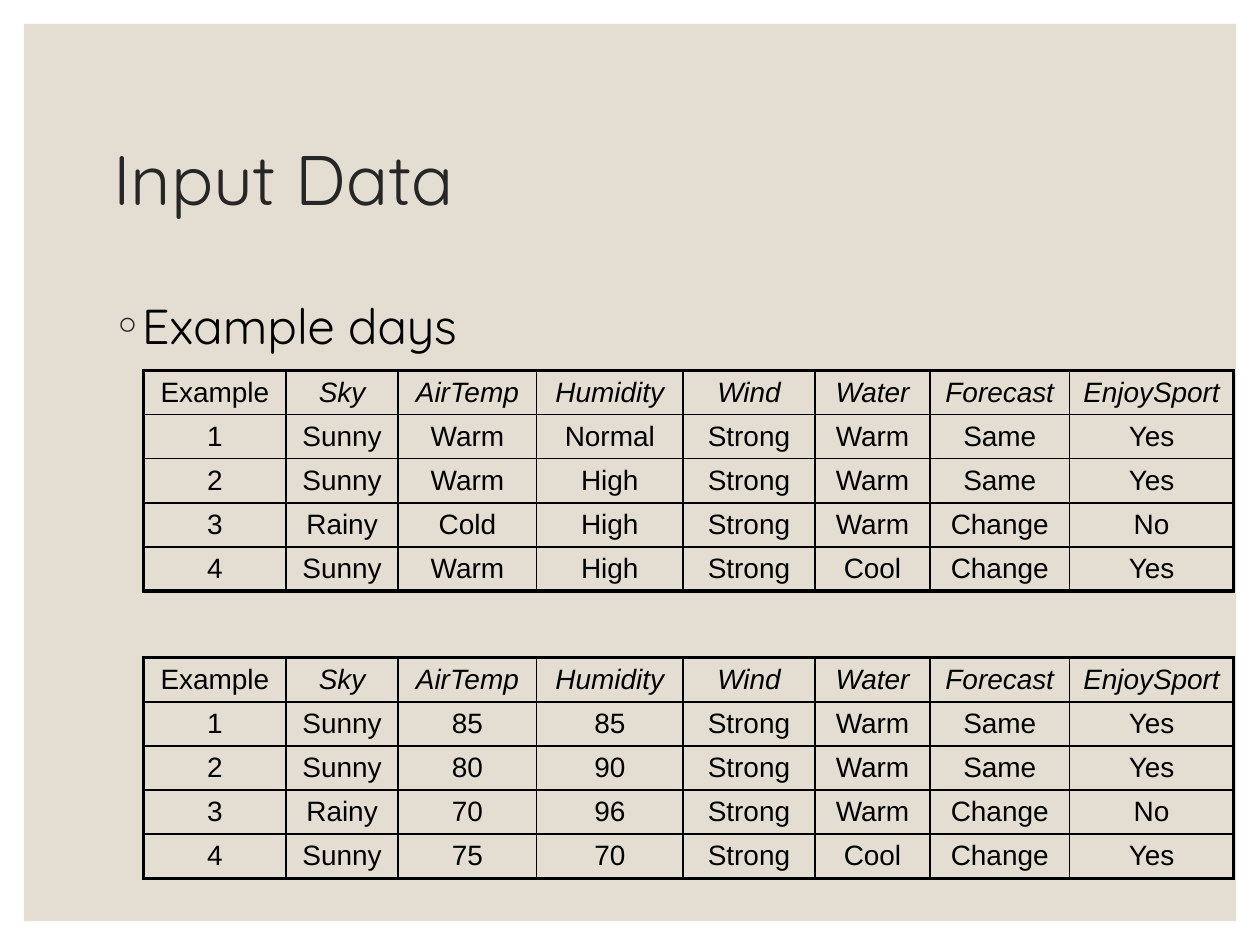
from lxml.etree import SubElement
from pptx import Presentation
from pptx.dml.color import RGBColor as RGB
from pptx.enum.shapes import MSO_SHAPE
from pptx.enum.text import MSO_ANCHOR, PP_ALIGN
from pptx.oxml.ns import qn
from pptx.util import Inches, Pt

TITLE = "Input Data"
BULLET = "Example days"
HEADER = ("Example", "Sky", "AirTemp", "Humidity", "Wind", "Water", "Forecast", "EnjoySport")
DAYS = [
    ("1", "Sunny", "Strong", "Warm", "Same", "Yes"),
    ("2", "Sunny", "Strong", "Warm", "Same", "Yes"),
    ("3", "Rainy", "Strong", "Warm", "Change", "No"),
    ("4", "Sunny", "Strong", "Cool", "Change", "Yes"),
]
READINGS = [
    (2.94, [("Warm", "Normal"), ("Warm", "High"), ("Cold", "High"), ("Warm", "High")]),
    (5.22, [("85", "85"), ("80", "90"), ("70", "96"), ("75", "70")]),
]
COLUMNS = (1.13, 0.89, 1.1, 1.16, 1.05, 0.91, 1.11, 1.3)
TABLE_LEFT, ROW_HEIGHT = 1.14, 0.35
THEME = {
    "panel": "E3DED1", "title": "262626", "ink": "000000",
    "display": "Quicksand", "table": "Arial",
    "title_size": 40, "bullet_size": 28, "cell_size": 16,
    "inner_line": 1, "outer_line": 2.25,
}


def style(p, font, size, color, italic=False):
    for r in p.runs:
        r.font.name, r.font.size, r.font.italic = font, Pt(size), italic
        r.font.color.rgb = RGB.from_string(color)


def add_text(s, text, top, height, size, color, anchor):
    tf = s.shapes.add_textbox(Inches(0.8), Inches(top), Inches(8.4), Inches(height)).text_frame
    tf.word_wrap, tf.vertical_anchor = True, anchor
    tf.text = text
    p = tf.paragraphs[0]
    style(p, THEME["display"], size, color)
    return p


def add_bullet(p):
    pPr = p._p.get_or_add_pPr()
    pPr.set("marL", str(Inches(0.2)))
    pPr.set("indent", str(-Inches(0.2)))
    color = SubElement(pPr, qn("a:buClr"))
    SubElement(color, qn("a:srgbClr"), val=THEME["title"])
    SubElement(pPr, qn("a:buFont"), typeface=THEME["display"])
    SubElement(pPr, qn("a:buChar"), char="◦")


def set_borders(cell, outer_sides):
    tcPr = cell._tc.get_or_add_tcPr()
    for side, is_outer in outer_sides.items():
        width = THEME["outer_line" if is_outer else "inner_line"]
        line = SubElement(tcPr, qn(f"a:ln{side}"), w=str(Pt(width)))
        fill = SubElement(line, qn("a:solidFill"))
        SubElement(fill, qn("a:srgbClr"), val=THEME["ink"])


def add_days_table(s, top, rows):
    last_row, last_col = len(rows) - 1, len(COLUMNS) - 1
    table = s.shapes.add_table(
        len(rows), len(COLUMNS), Inches(TABLE_LEFT), Inches(top),
        Inches(sum(COLUMNS)), Inches(ROW_HEIGHT * len(rows))).table
    table.first_row = table.horz_banding = False
    for column, width in zip(table.columns, COLUMNS):
        column.width = Inches(width)
    for i, values in enumerate(rows):
        table.rows[i].height = Inches(ROW_HEIGHT)
        for j, value in enumerate(values):
            cell = table.cell(i, j)
            cell.text = value
            cell.vertical_anchor = MSO_ANCHOR.MIDDLE
            cell.margin_top = cell.margin_bottom = Inches(0.04)
            cell.margin_left = cell.margin_right = Inches(0.05)
            p = cell.text_frame.paragraphs[0]
            p.alignment = PP_ALIGN.CENTER
            style(p, THEME["table"], THEME["cell_size"], THEME["ink"], i == 0 and j > 0)
            set_borders(cell, {"L": j == 0, "R": j == last_col, "T": i == 0, "B": i == last_row})
            cell.fill.background()


def main():
    prs = Presentation()
    prs.slide_width, prs.slide_height = Inches(10), Inches(7.5)
    s = prs.slides.add_slide(prs.slide_layouts[6])

    panel = s.shapes.add_shape(
        MSO_SHAPE.RECTANGLE, Inches(0.19), Inches(0.19), Inches(9.62), Inches(7.12))
    panel.shadow.inherit = False
    panel.fill.solid()
    panel.fill.fore_color.rgb = RGB.from_string(THEME["panel"])
    panel.line.fill.background()

    title = add_text(s, TITLE, 0.7, 1.5, THEME["title_size"], THEME["title"], MSO_ANCHOR.MIDDLE)
    title.line_spacing = 0.9
    add_bullet(add_text(s, BULLET, 2.3, 4.3, THEME["bullet_size"], THEME["ink"], MSO_ANCHOR.TOP))

    for top, readings in READINGS:
        rows = [day[:2] + reading + day[2:] for day, reading in zip(DAYS, readings)]
        add_days_table(s, top, [HEADER] + rows)

    prs.save("out.pptx")


if __name__ == "__main__":
    main()
